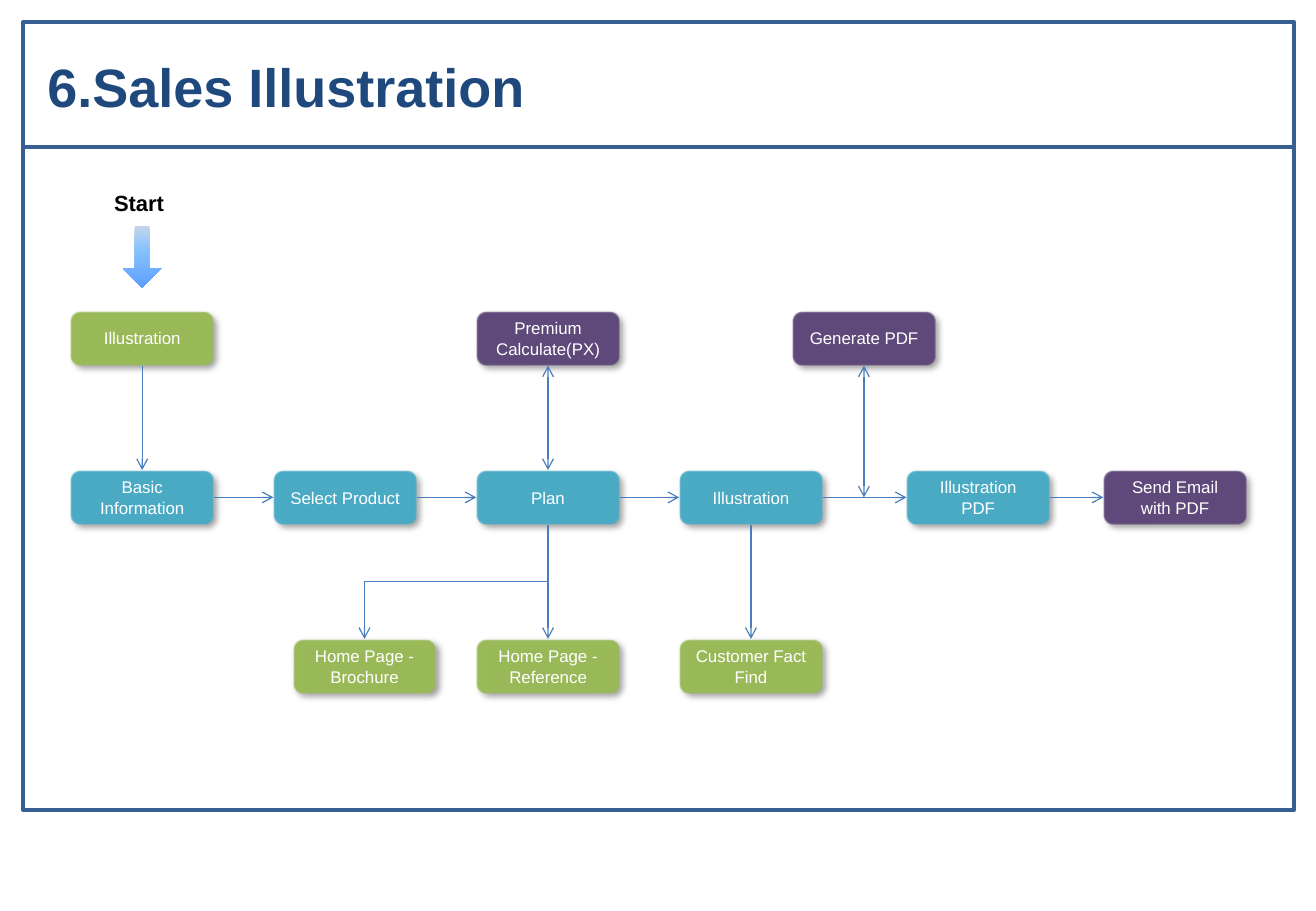
from lxml import etree
from pptx import Presentation
from pptx.dml.color import RGBColor
from pptx.enum.shapes import MSO_CONNECTOR, MSO_SHAPE
from pptx.enum.text import MSO_ANCHOR, MSO_AUTO_SIZE, PP_ALIGN
from pptx.oxml import parse_xml
from pptx.oxml.ns import qn
from pptx.util import Inches, Pt

STRAIGHT, ELBOW = MSO_CONNECTOR.STRAIGHT, MSO_CONNECTOR.ELBOW
ROUNDED, RECTANGLE, DOWN_ARROW = (
    MSO_SHAPE.ROUNDED_RECTANGLE, MSO_SHAPE.RECTANGLE, MSO_SHAPE.DOWN_ARROW)
MIDDLE, TOP = MSO_ANCHOR.MIDDLE, MSO_ANCHOR.TOP
LEFT, CENTER = PP_ALIGN.LEFT, PP_ALIGN.CENTER
NO_FIT = MSO_AUTO_SIZE.NONE

WHITE = RGBColor(0xFF, 0xFF, 0xFF)
BLACK = RGBColor(0, 0, 0)
NAVY = RGBColor(0x1F, 0x49, 0x7D)
FRAME_BLUE = RGBColor(0x37, 0x60, 0x92)
LINK_BLUE = RGBColor(0x4B, 0x7E, 0xBC)
GREEN = RGBColor(0x9B, 0xBB, 0x59)
TEAL = RGBColor(0x4B, 0xAC, 0xC6)
PURPLE = RGBColor(0x60, 0x4A, 0x7B)
START_STOPS = [(0, RGBColor(0xC4, 0xD6, 0xEB)), (40, RGBColor(0x85, 0xC2, 0xFF)),
               (100, RGBColor(0x5E, 0x9E, 0xFF))]

SLIDE_W, SLIDE_H = 10.83, 7.5
FRAME = (0.19, 0.18, 10.46, 6.49)
STEP_W, STEP_H = 1.18, 0.45
COLUMNS = [0.39 + 1.67 * i for i in range(4)] + [7.27, 8.89]
BROCHURE_COLUMN, GENERATE_COLUMN = 2.22, 6.33
ROWS = [2.38, 3.69, 5.08]
SITE_TOP, SITE_LEFT, SITE_BOTTOM, SITE_RIGHT = range(4)
A_NS = 'xmlns:a="http://schemas.openxmlformats.org/drawingml/2006/main"'

STEPS = {
    "start": ("Illustration", COLUMNS[0], ROWS[0], GREEN),
    "premium": ("Premium Calculate(PX)", COLUMNS[2], ROWS[0], PURPLE),
    "generate": ("Generate PDF", GENERATE_COLUMN, ROWS[0], PURPLE),
    "basic": ("Basic Information", COLUMNS[0], ROWS[1], TEAL),
    "product": ("Select Product", COLUMNS[1], ROWS[1], TEAL),
    "plan": ("Plan", COLUMNS[2], ROWS[1], TEAL),
    "illustration": ("Illustration", COLUMNS[3], ROWS[1], TEAL),
    "pdf": ("Illustration PDF", COLUMNS[4], ROWS[1], TEAL),
    "email": ("Send Email with PDF", COLUMNS[5], ROWS[1], PURPLE),
    "brochure": ("Home Page - Brochure", BROCHURE_COLUMN, ROWS[2], GREEN),
    "reference": ("Home Page - Reference", COLUMNS[2], ROWS[2], GREEN),
    "fact_find": ("Customer Fact Find", COLUMNS[3], ROWS[2], GREEN),
}
MAIN_FLOW = ["basic", "product", "plan", "illustration", "pdf", "email"]
DOWN_LINKS = [("start", "basic", False), ("premium", "plan", True),
              ("plan", "reference", False), ("illustration", "fact_find", False)]


def write(shape, text, size=10, color=WHITE, bold=False, align=CENTER, anchor=MIDDLE):
    """Put formatted text in a shape."""
    frame = shape.text_frame
    frame.auto_size = NO_FIT
    frame.word_wrap = True
    frame.vertical_anchor = anchor
    paragraph = frame.paragraphs[0]
    paragraph.alignment = align
    run = paragraph.add_run()
    run.text = text
    run.font.name = "Arial"
    run.font.size = Pt(size)
    run.font.bold = bold
    run.font.color.rgb = color


def add_line(slide, start, end, color=LINK_BLUE, width=0.75, head=False, tail=True,
             kind=STRAIGHT):
    """Draw a connector between two points, with optional arrowheads."""
    line = slide.shapes.add_connector(kind, *map(Inches, start + end))
    line.line.color.rgb = color
    line.line.width = Pt(width)
    stroke = line.line._get_or_add_ln()
    for tag, shown in (("a:headEnd", head), ("a:tailEnd", tail)):
        if shown:
            etree.SubElement(stroke, qn(tag), type="arrow")
    etree.SubElement(line._element.spPr, qn("a:effectLst"))
    return line


def add_header(slide, box):
    """Draw the frame, its dividing rule and the title."""
    left, top, width, height = box
    border = slide.shapes.add_shape(RECTANGLE, *map(Inches, box))
    border.shadow.inherit = False
    border.fill.background()
    border.line.color.rgb = FRAME_BLUE
    border.line.width = Pt(2)
    rule_y = top + 1.03
    add_line(slide, (left, rule_y), (left + width, rule_y), FRAME_BLUE, 2.25, tail=False)
    title = slide.shapes.title
    title.left, title.top = Inches(left + 0.1), Inches(top + 0.21)
    title.width, title.height = Inches(9.9), Inches(0.64)
    write(title, "6.Sales Illustration", size=32, color=NAVY, bold=True, align=LEFT)


def add_start(slide, box):
    """Draw the start label and its gradient arrow."""
    left, top, _, _ = box
    label = slide.shapes.add_textbox(
        *map(Inches, (left + 0.65, top + 1.33, 0.76, 0.32)))
    write(label, "Start", size=13, color=BLACK, bold=True, align=LEFT, anchor=TOP)
    arrow = slide.shapes.add_shape(
        DOWN_ARROW, *map(Inches, (left + 0.82, top + 1.68, 0.32, 0.51)))
    arrow.adjustments[0] = 0.37
    arrow.shadow.inherit = False
    arrow.line.fill.background()
    stops = "".join(f'<a:gs pos="{share * 1000}"><a:srgbClr val="{color}"/></a:gs>'
                    for share, color in START_STOPS)
    arrow._element.spPr.find(qn("a:prstGeom")).addnext(parse_xml(
        f'<a:gradFill {A_NS} rotWithShape="1"><a:gsLst>{stops}</a:gsLst>'
        '<a:lin ang="5400000" scaled="0"/></a:gradFill>'))


def add_step(slide, box, text, column, row, color):
    """Draw one rounded step of the flow, soft-edged with a shadow."""
    step = slide.shapes.add_shape(
        ROUNDED, *map(Inches, (box[0] + column, box[1] + row, STEP_W, STEP_H)))
    step.fill.solid()
    step.fill.fore_color.rgb = color
    step.line.color.rgb = WHITE
    step.line.width = Pt(0.75)
    step._element.spPr.append(parse_xml(
        f'<a:effectLst {A_NS}>'
        f'<a:outerShdw blurRad="{Pt(4)}" dist="{Pt(3)}" dir="2700000" algn="tl" '
        'rotWithShape="0"><a:srgbClr val="000000"><a:alpha val="40000"/></a:srgbClr>'
        f'</a:outerShdw><a:softEdge rad="{Pt(1)}"/></a:effectLst>'))
    write(step, text)
    return step


def join(slide, first, first_site, second, second_site, head=False):
    """Glue an arrow to the sides of two steps."""
    arrow = add_line(slide, (0, 0), (1, 1), head=head)
    arrow.begin_connect(first, first_site)
    arrow.end_connect(second, second_site)


def add_flow(slide, box):
    """Draw all steps and the arrows between them."""
    left, top, _, _ = box
    steps = {key: add_step(slide, box, *step) for key, step in STEPS.items()}
    for first, second in zip(MAIN_FLOW, MAIN_FLOW[1:]):
        join(slide, steps[first], SITE_RIGHT, steps[second], SITE_LEFT)
    for upper, lower, both in DOWN_LINKS:
        join(slide, steps[upper], SITE_BOTTOM, steps[lower], SITE_TOP, head=both)

    generate_x = left + GENERATE_COLUMN + STEP_W / 2
    add_line(slide, (generate_x, top + ROWS[0] + STEP_H),
             (generate_x, top + ROWS[1] + STEP_H / 2), head=True)

    plan_x = left + COLUMNS[2] + STEP_W / 2
    brochure_x = left + BROCHURE_COLUMN + STEP_W / 2
    branch_y = top + (ROWS[1] + STEP_H + ROWS[2]) / 2
    branch = add_line(slide, (plan_x, branch_y), (brochure_x, top + ROWS[2]), kind=ELBOW)
    branch._element.spPr.find(qn("a:prstGeom")).set("prst", "bentConnector2")


def main():
    """Build and save the sales illustration slide."""
    deck = Presentation()
    deck.slide_width, deck.slide_height = Inches(SLIDE_W), Inches(SLIDE_H)
    slide = deck.slides.add_slide(deck.slide_layouts[5])
    for add_region in (add_header, add_start, add_flow):
        add_region(slide, FRAME)
    deck.save("out.pptx")


if __name__ == "__main__":
    main()
